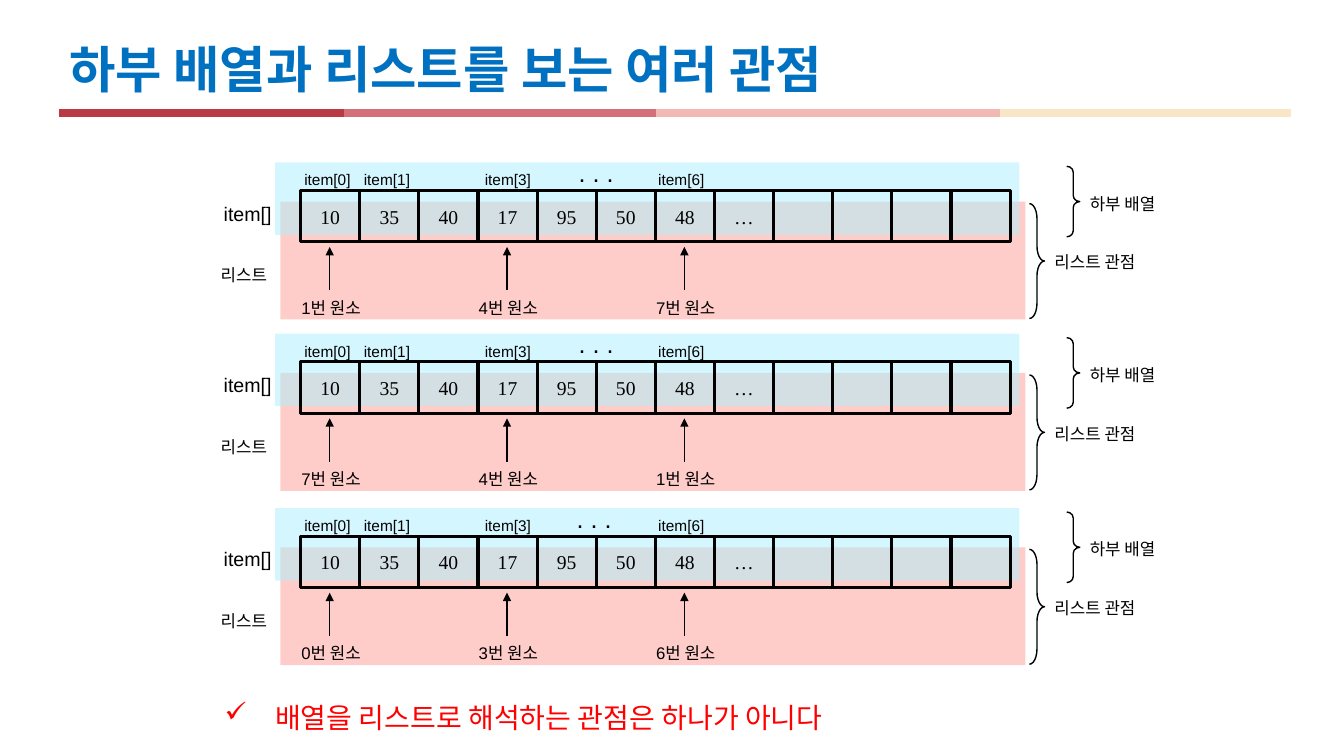
from lxml import etree
from pptx import Presentation
from pptx.dml.color import RGBColor
from pptx.enum.shapes import MSO_CONNECTOR, MSO_SHAPE
from pptx.enum.text import MSO_ANCHOR, MSO_AUTO_SIZE, PP_ALIGN
from pptx.oxml.ns import qn
from pptx.util import Inches, Pt

RECT, BRACE = MSO_SHAPE.RECTANGLE, MSO_SHAPE.RIGHT_BRACE
STRAIGHT = MSO_CONNECTOR.STRAIGHT
MIDDLE, CENTER = MSO_ANCHOR.MIDDLE, PP_ALIGN.CENTER
GROW = MSO_AUTO_SIZE.SHAPE_TO_FIT_TEXT
SANS, SERIF, HANGUL = "Arial", "Times New Roman", "Noto Sans CJK KR"
COLORS = {
    "black": "000000", "red": "FF0000", "title": "0070C0",
    "pink": "FFCDC9", "cyan": "ABF1FF",
    "rose": "D37079", "blush": "F2B8B4", "cream": "F8E6C7", "wine": "B93945",
}


class Deck:
    """Draws styled elements on the current slide."""

    def __init__(self):
        self.prs = Presentation()
        self.prs.slide_width, self.prs.slide_height = Inches(13.33), Inches(7.5)
        self.slide = self.prs.slides.add_slide(self.prs.slide_layouts[6])

    def color(self, name):
        return RGBColor.from_string(COLORS[name])

    def style(self, frame, text, size, font=SANS, color="black", bold=False):
        frame.text = text
        para = frame.paragraphs[0]
        run = para.runs[0]
        run.font.size, run.font.name, run.font.bold = Pt(size), font, bold
        run.font.color.rgb = self.color(color)
        east = etree.SubElement(run.font._element, qn("a:ea"))
        east.set("typeface", HANGUL)
        return para

    def shape(self, kind, x, y, w, h, fill=None, line=None):
        item = self.slide.shapes.add_shape(
            kind, Inches(x), Inches(y), Inches(w), Inches(h))
        item.shadow.inherit = False
        if fill:
            item.fill.solid()
            item.fill.fore_color.rgb = self.color(fill)
        else:
            item.fill.background()
        if line:
            item.line.color.rgb = self.color("black")
            item.line.width = Pt(line)
        else:
            item.line.fill.background()
        return item

    def fade(self, item, amount):
        tint = item.fill._xPr.find(".//" + qn("a:srgbClr"))
        etree.SubElement(tint, qn("a:alpha")).set("val", str(amount * 1000))

    def cell(self, x, y, text):
        box = self.shape(RECT, x, y, 0.59, 0.51, line=2)
        if text:
            para = self.style(box.text_frame, text, 14, SERIF)
            para.alignment = CENTER
            box.text_frame.vertical_anchor = MIDDLE

    def brace(self, x, y, w, h, curve):
        item = self.shape(BRACE, x, y, w, h, line=1)
        item.adjustments[0] = curve
        item.adjustments[1] = 0.5

    def line(self, x1, y1, x2, y2, color, width, arrow=False):
        rule = self.slide.shapes.add_connector(
            STRAIGHT, Inches(x1), Inches(y1), Inches(x2), Inches(y2))
        rule.line.color.rgb = self.color(color)
        rule.line.width = Pt(width)
        if arrow:
            head = etree.SubElement(rule.line._get_or_add_ln(), qn("a:tailEnd"))
            head.set("type", "triangle")
        etree.SubElement(rule._element.spPr, qn("a:effectLst"))

    def label(self, x, y, w, h, text, size, color="black"):
        box = self.slide.shapes.add_textbox(
            Inches(x), Inches(y), Inches(w), Inches(h))
        box.text_frame.word_wrap = False
        box.text_frame.auto_size = GROW
        return self.style(box.text_frame, text, size, color=color)

    def check(self, x, y, w, h, text, size):
        props = self.label(x, y, w, h, text, size, "red")._p.get_or_add_pPr()
        props.set("marL", str(Inches(0.5)))
        props.set("indent", str(-Inches(0.5)))
        etree.SubElement(props, qn("a:buChar")).set("char", "✓")

    def title(self, x, y, w, h, text):
        box = self.slide.shapes.add_textbox(
            Inches(x), Inches(y), Inches(w), Inches(h))
        frame = box.text_frame
        frame.word_wrap = True
        frame.vertical_anchor = MIDDLE
        para = self.style(frame, text, 36, HANGUL, "title", True)
        para.line_spacing = 0.9

    def panel(self, top, ranks, dots):
        self.shape(RECT, 2.78, top + 0.39, 7.39, 1.17, "pink")
        self.fade(self.shape(RECT, 2.73, top, 7.38, 0.72, "cyan"), 50)
        values = ["10", "35", "40", "17", "95", "50", "48", "…"] + [""] * 4
        step = 6.45 / 11
        for i, value in enumerate(values):
            self.cell(2.98 + i * step, top + 0.28, value)
        for i, x in ((0, 2.92), (1, 3.51), (3, 4.71), (6, 6.43)):
            self.label(x, top + 0.03, 0.66, 0.29, f"item[{i}]", 11)
        self.label(dots, top - 0.1, 0.55, 0.4, ". . .", 18)
        for i, rank in zip((0, 3, 6), ranks):
            x = 3.27 + i * step
            self.line(x, top + 1.27, x, top + 0.84, "black", 1, True)
            self.label(x - 0.38, top + 1.29, 0.85, 0.3, f"{rank}번 원소", 12)
        self.label(2.12, top + 0.34, 0.68, 0.34, "item[]", 14)
        self.label(2.09, top + 0.97, 0.71, 0.3, "리스트", 12)
        self.brace(10.21, top + 0.41, 0.15, 1.14, 0.99)
        self.label(10.36, top + 0.84, 1.09, 0.3, "리스트 관점", 12)
        self.brace(10.58, top + 0.04, 0.13, 0.7, 0.46)
        self.label(10.71, top + 0.26, 0.92, 0.3, "하부 배열", 12)


def main():
    deck = Deck()
    for x1, x2, color in ((3.1, 6.51, "rose"), (6.51, 9.92, "blush"),
                          (9.92, 12.8, "cream"), (0.59, 3.41, "wine")):
        deck.line(x1, 1.12, x2, 1.12, color, 6)
    for top, ranks, dots in ((1.61, (1, 4, 7), 5.64), (3.31, (7, 4, 1), 5.64),
                             (5.04, (0, 3, 6), 5.62)):
        deck.panel(top, ranks, dots)
    deck.check(2.13, 6.9, 6.7, 0.44, "배열을 리스트로 해석하는 관점은 하나가 아니다", 20)
    deck.title(0.59, 0.32, 12.17, 0.79, "하부 배열과 리스트를 보는 여러 관점")
    deck.prs.save("out.pptx")


if __name__ == "__main__":
    main()
